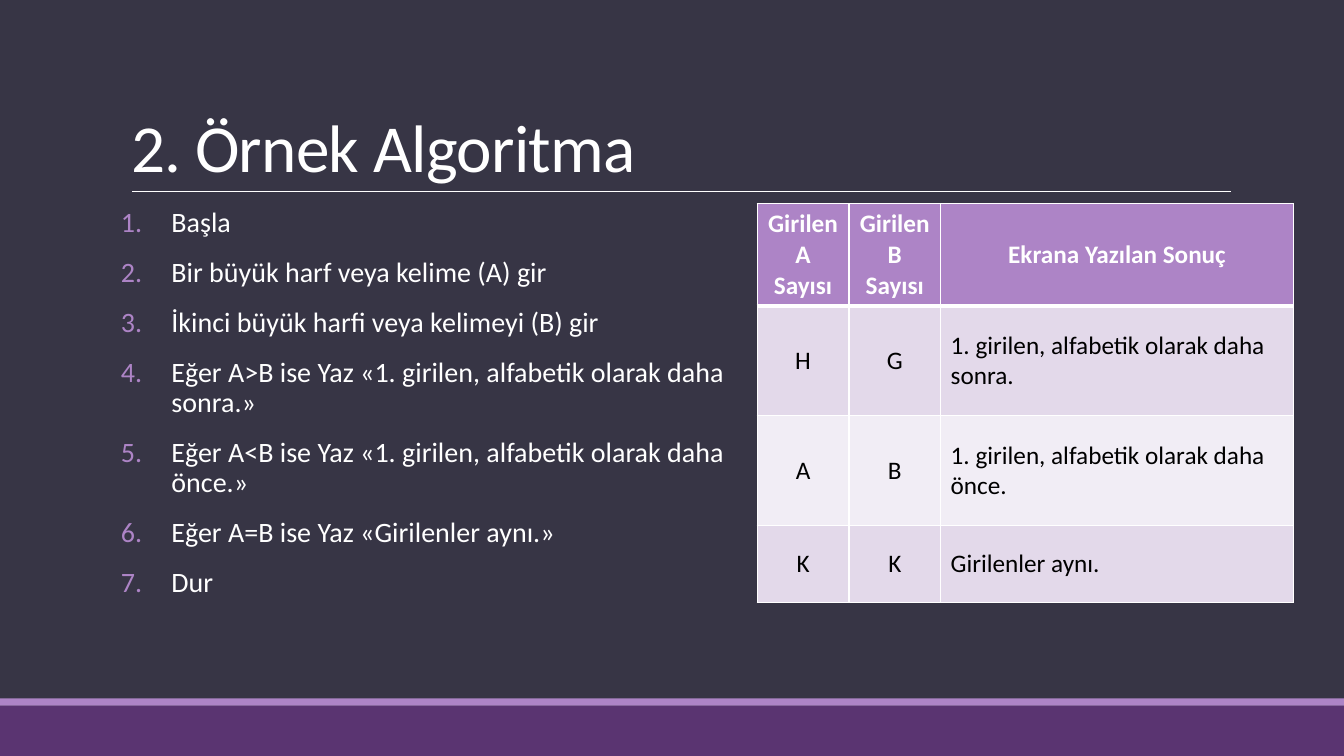
"""Builds the slide with a sample algorithm and its table of results."""
from lxml import etree
from pptx import Presentation
from pptx.dml.color import RGBColor
from pptx.enum.shapes import MSO_CONNECTOR, MSO_SHAPE
from pptx.enum.text import MSO_ANCHOR, MSO_AUTO_SIZE, PP_ALIGN
from pptx.oxml.ns import qn
from pptx.util import Inches, Pt

RECT, STRAIGHT = MSO_SHAPE.RECTANGLE, MSO_CONNECTOR.STRAIGHT
LEFT, CENTER = PP_ALIGN.LEFT, PP_ALIGN.CENTER
BOTTOM, MIDDLE, TOP = MSO_ANCHOR.BOTTOM, MSO_ANCHOR.MIDDLE, MSO_ANCHOR.TOP
COLORS = {"back": "373545", "band": "5A3471", "accent": "AD84C6", "white": "FFFFFF",
          "black": "000000", "odd": "E3D9EA", "even": "F1EDF5"}
STEPS = ["Başla", "Bir büyük harf veya kelime (A) gir",
         "İkinci büyük harfi veya kelimeyi (B) gir",
         "Eğer A>B ise Yaz «1. girilen, alfabetik olarak daha sonra.»",
         "Eğer A<B ise Yaz «1. girilen, alfabetik olarak daha önce.»",
         "Eğer A=B ise Yaz «Girilenler aynı.»", "Dur"]
ROWS = [("Girilen A Sayısı", "Girilen B Sayısı", "Ekrana Yazılan Sonuç"),
        ("H", "G", "1. girilen, alfabetik olarak daha sonra."),
        ("A", "B", "1. girilen, alfabetik olarak daha önce."),
        ("K", "K", "Girilenler aynı.")]
COL_WIDTHS = [0.91, 0.91, 3.5]
ROW_HEIGHTS = [1, 1.09, 1.09, 0.76]


def rgb(name):
    return RGBColor.from_string(COLORS[name])


def add_run(p, text, size, color, bold=False):
    r = p.add_run()
    r.text = text
    for key, value in {"name": "Calibri", "size": Pt(size), "bold": bold}.items():
        setattr(r.font, key, value)
    r.font.color.rgb = rgb(color)
    return r


prs = Presentation()
prs.slide_width, prs.slide_height = Inches(13.33), Inches(7.5)
s = prs.slides.add_slide(prs.slide_layouts[1])
s.background.fill.solid()
s.background.fill.fore_color.rgb = rgb("back")

for top, height, color in [(7, 0.5, "band"), (6.93, 0.07, "accent")]:
    sp = s.shapes.add_shape(RECT, 0, Inches(top), prs.slide_width, Inches(height))
    sp.shadow.inherit = False
    sp.fill.solid()
    sp.fill.fore_color.rgb = rgb(color)
    sp.line.fill.background()

rule = s.shapes.add_connector(STRAIGHT, Inches(1.31), Inches(1.9), Inches(12.21), Inches(1.9))
rule.line.color.rgb = rgb("white")
rule.line.width = Pt(0.5)
etree.SubElement(rule._element.spPr, qn("a:effectLst"))

title, body = s.shapes.title, s.placeholders[1]
for sp, box, anchor, inset in [(title, (1.2, 0.31, 11, 1.59), BOTTOM, 0.1),
                               (body, (1.2, 2.02, 6.31, 4.4), TOP, 0)]:
    sp.left, sp.top, sp.width, sp.height = [Inches(v) for v in box]
    frame = {"auto_size": MSO_AUTO_SIZE.NONE, "word_wrap": True, "vertical_anchor": anchor,
             "margin_left": Inches(inset), "margin_right": Inches(inset),
             "margin_top": Inches(0.05), "margin_bottom": Inches(0.05)}
    for key, value in frame.items():
        setattr(sp.text_frame, key, value)

p = title.text_frame.paragraphs[0]
p.alignment, p.line_spacing = LEFT, 0.85
r = add_run(p, "2. Örnek Algoritma", 48, "white")
r._r.get_or_add_rPr().set("spc", "-50")

tf = body.text_frame
for i, step in enumerate(STEPS):
    p = tf.add_paragraph() if i else tf.paragraphs[0]
    pPr = p._p.get_or_add_pPr()
    pPr.set("marL", str(Inches(0.5)))
    pPr.set("indent", str(-Inches(0.5)))
    bullet_color = etree.SubElement(pPr, qn("a:buClr"))
    etree.SubElement(bullet_color, qn("a:srgbClr"), val=COLORS["accent"])
    etree.SubElement(pPr, qn("a:buFont"), typeface="Calibri")
    etree.SubElement(pPr, qn("a:buAutoNum"), type="arabicPeriod")
    spacing = {"alignment": LEFT, "line_spacing": 0.9,
               "space_before": Pt(12 if i else 0), "space_after": Pt(2)}
    for key, value in spacing.items():
        setattr(p, key, value)
    add_run(p, step, 20, "white")

table = s.shapes.add_table(len(ROWS), len(COL_WIDTHS), Inches(7.51), Inches(2.02),
                           Inches(sum(COL_WIDTHS)), Inches(sum(ROW_HEIGHTS))).table
for col, width in zip(table.columns, COL_WIDTHS):
    col.width = Inches(width)
for i, (row, height) in enumerate(zip(ROWS, ROW_HEIGHTS)):
    table.rows[i].height = Inches(height)
    fill = "accent" if i == 0 else "odd" if i % 2 else "even"
    for j, text in enumerate(row):
        cell = table.cell(i, j)
        cell.vertical_anchor = MIDDLE
        cell.fill.solid()
        cell.fill.fore_color.rgb = rgb(fill)
        p = cell.text_frame.paragraphs[0]
        p.alignment = LEFT if i and j == 2 else CENTER
        add_run(p, text, 18, "black" if i else "white", bold=i == 0)
        widths = {"L": 1, "R": 1, "T": 3 if i == 1 else 1, "B": 3 if i == 0 else 1}
        tcPr = cell._tc.get_or_add_tcPr()
        for k, (side, width) in enumerate(widths.items()):
            ln = etree.Element(qn("a:ln" + side), w=str(Pt(width)))
            line_fill = etree.SubElement(ln, qn("a:solidFill"))
            etree.SubElement(line_fill, qn("a:srgbClr"), val=COLORS["white"])
            tcPr.insert(k, ln)

prs.save("out.pptx")
